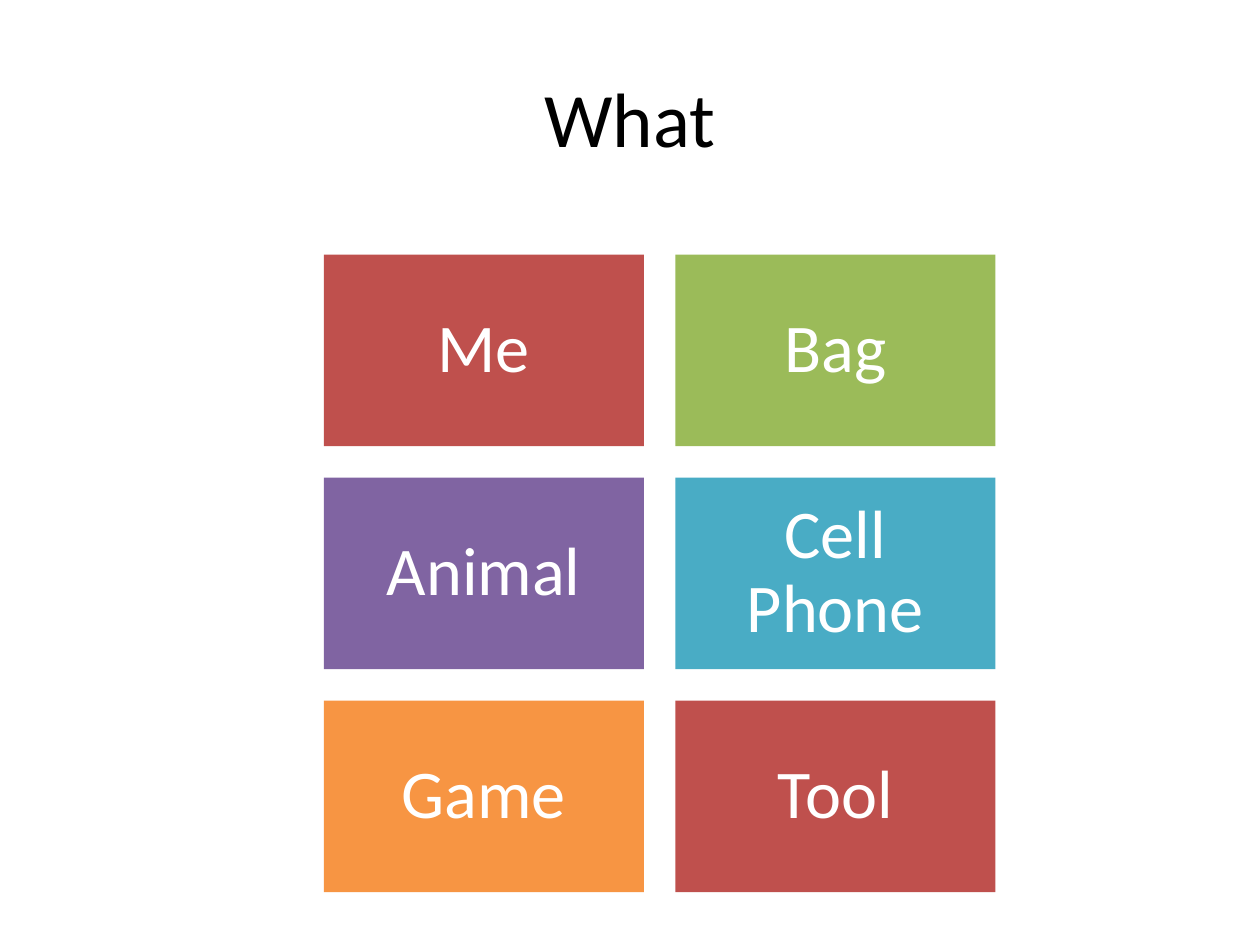
from pptx import Presentation
from pptx.dml.color import RGBColor
from pptx.enum.shapes import MSO_SHAPE
from pptx.enum.text import MSO_ANCHOR, PP_ALIGN
from pptx.util import Inches, Pt

RECTANGLE = MSO_SHAPE.RECTANGLE
MIDDLE = MSO_ANCHOR.MIDDLE
CENTER = PP_ALIGN.CENTER

BLACK = RGBColor(0x00, 0x00, 0x00)
WHITE = RGBColor(0xFF, 0xFF, 0xFF)
RED = RGBColor(0xBF, 0x50, 0x4D)
GREEN = RGBColor(0x9B, 0xBB, 0x59)
PURPLE = RGBColor(0x80, 0x64, 0xA2)
TEAL = RGBColor(0x49, 0xAC, 0xC5)
ORANGE = RGBColor(0xF7, 0x95, 0x43)

TITLE_ONLY = 5
COLUMNS = 2
TILES = [
    ("Me", RED), ("Bag", GREEN),
    ("Animal", PURPLE), ("Cell Phone", TEAL),
    ("Game", ORANGE), ("Tool", RED),
]


class TileSlide:
    font = "Calibri"
    title_size, tile_size = Pt(44), Pt(39)
    left, top = Inches(2.57), Inches(2.02)
    width, height = Inches(2.54), Inches(1.52)
    gap = Inches(0.25)
    inset = Inches(0.16)

    def __init__(self, prs):
        self.slide = prs.slides.add_slide(prs.slide_layouts[TITLE_ONLY])

    def add_text(self, tf, text, size, color):
        tf.word_wrap = True
        tf.vertical_anchor = MIDDLE
        p = tf.paragraphs[0]
        p.alignment = CENTER
        r = p.add_run()
        r.text = text
        r.font.name = self.font
        r.font.size = size
        r.font.color.rgb = color
        return p

    def title(self, text):
        sp = self.slide.shapes.title
        sp.left, sp.top = Inches(0.5), Inches(0.3)
        sp.width, sp.height = Inches(9), Inches(1.25)
        self.add_text(sp.text_frame, text, self.title_size, BLACK)

    def tile(self, column, row, text, color):
        sp = self.slide.shapes.add_shape(
            RECTANGLE,
            self.left + column * (self.width + self.gap),
            self.top + row * (self.height + self.gap),
            self.width, self.height)
        sp.shadow.inherit = False
        sp.fill.solid()
        sp.fill.fore_color.rgb = color
        sp.line.fill.background()
        tf = sp.text_frame
        tf.margin_left = tf.margin_right = self.inset
        tf.margin_top = tf.margin_bottom = self.inset
        p = self.add_text(tf, text, self.tile_size, WHITE)
        p.line_spacing = 0.9


def main():
    prs = Presentation()
    prs.slide_width, prs.slide_height = Inches(10), Inches(7.5)
    s = TileSlide(prs)
    s.title("What")
    for i, (text, color) in enumerate(TILES):
        row, column = divmod(i, COLUMNS)
        s.tile(column, row, text, color)
    prs.save("out.pptx")


if __name__ == "__main__":
    main()
